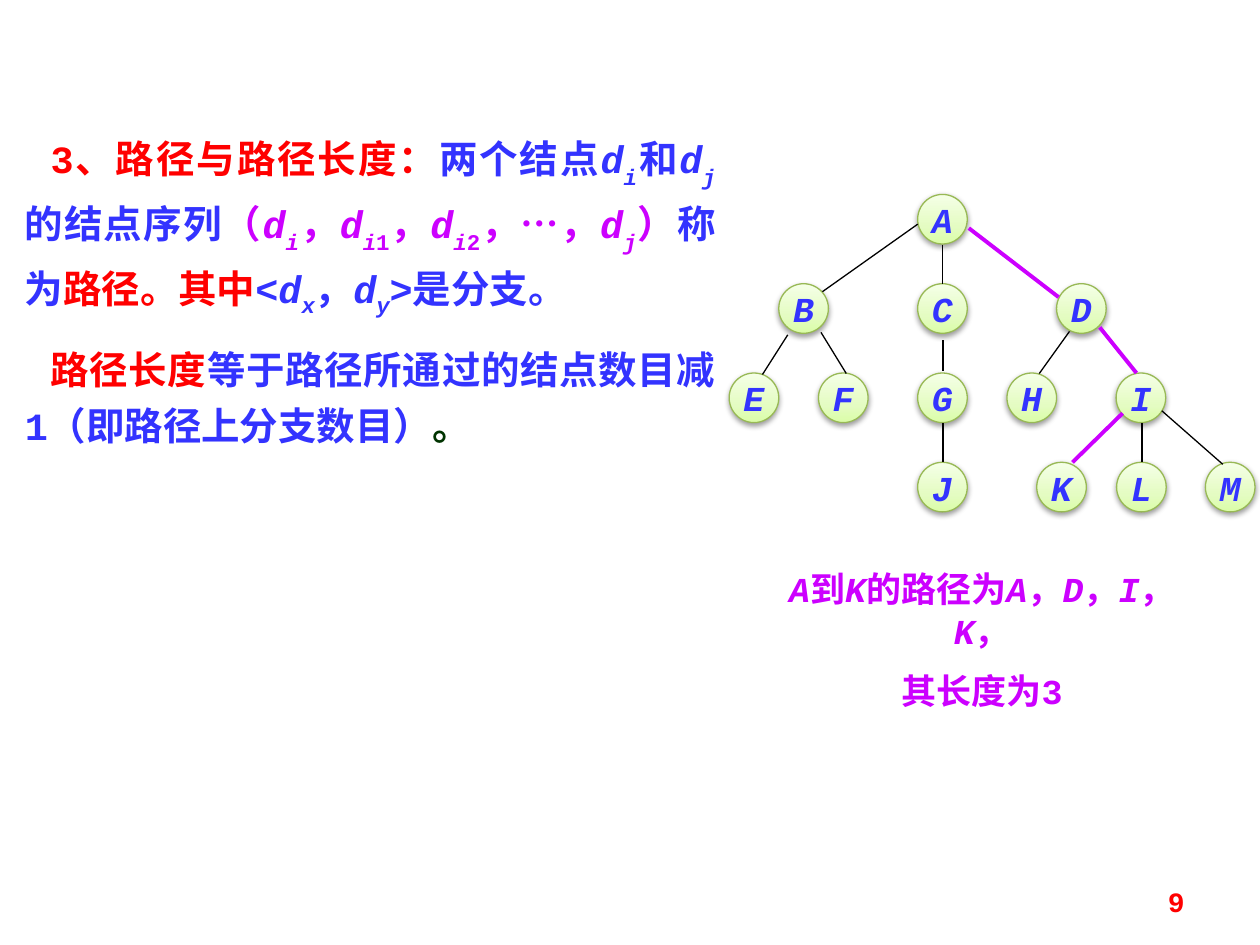
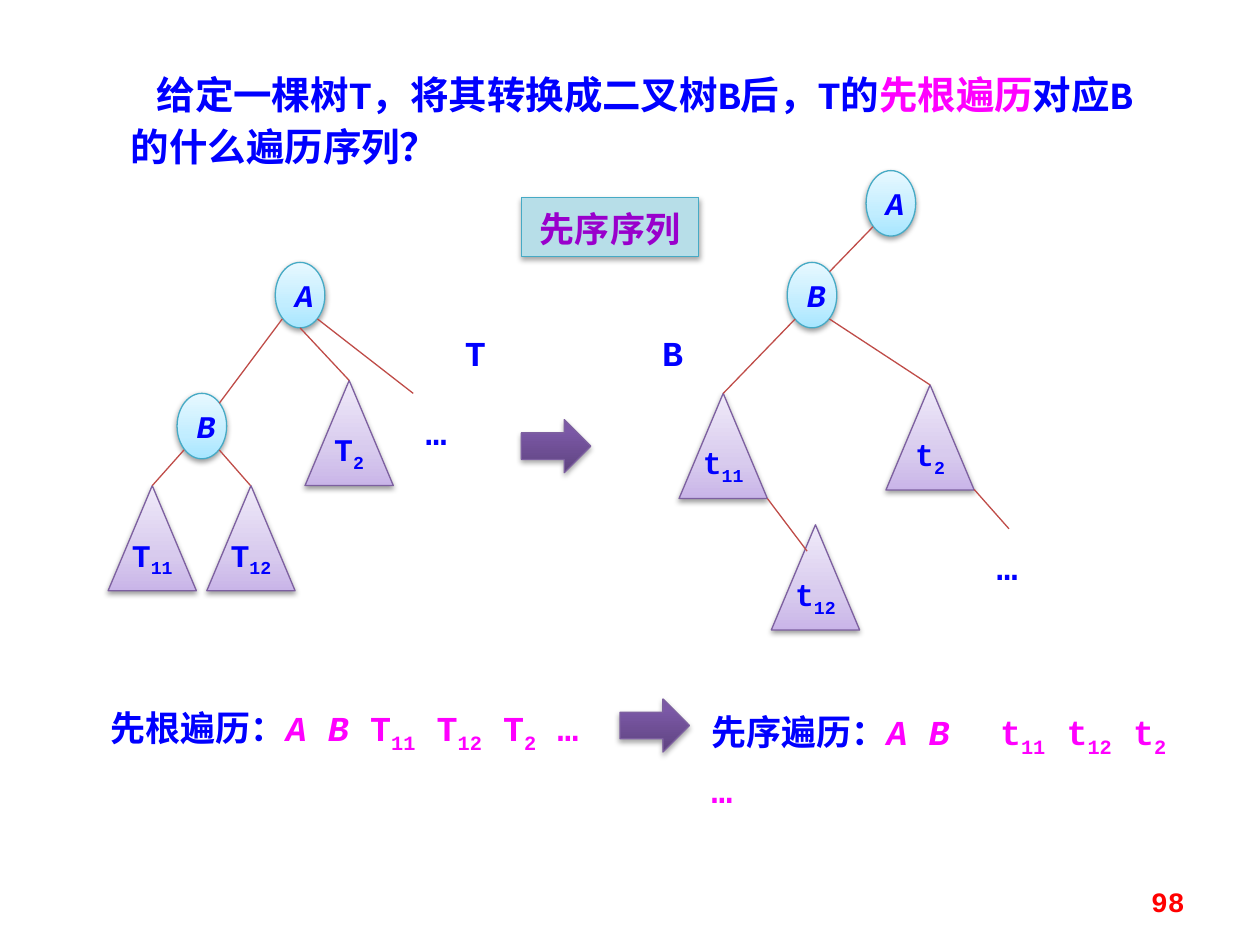
import collections
import copy

import pptx
import pptx.dml.color
import pptx.enum.shapes
import pptx.enum.text
import pptx.oxml.ns
import pptx.util
from lxml import etree

Cm = pptx.util.Cm
Pt = pptx.util.Pt
colour_of = pptx.dml.color.RGBColor.from_string
qn = pptx.oxml.ns.qn
ShapeKind = pptx.enum.shapes.MSO_SHAPE
Align = pptx.enum.text.PP_ALIGN
Anchor = pptx.enum.text.MSO_ANCHOR

FONT = "Courier New"
RED, VIOLET, SOFT_BLUE, DARK_GREEN = "FF0000", "CC00FF", "3333FF", "003300"
BLUE, PINK, PURPLE, BLACK, BROWN = "0000FF", "FF00FF", "9900CC", "000000", "BF4C48"
INDENT = 0.52

Run = collections.namedtuple("Run", "text colour italic baseline", defaults=(False, 0))
Look = collections.namedtuple("Look", "fills stops line alpha distance")
GREEN_NODE = Look(("DAFDA7", "E4FCC2", "F5FFE7"), (0, 0.35, 1), "98B955", 38, 20000)
CYAN_NODE = Look(("A7E6FF", "C1EDFF", "E7F8FF"), (0, 0.35, 1), "46AAC5", 38, 20000)
SUBTREE = Look(("C9B5E8", "D8CBEE", "F0EAF9"), (0, 0.35, 1), "7D60A0", 38, 20000)
ARROW = Look(("5F4480", "7B58A6", "7C57A8"), (0, 0.8, 1), "7D60A0", 35, 23000)
ANSWER = Look(("B7DEE8",), (0,), "46AAC5", 35, 23000)


def add_block(slide, box, paragraphs, size=20, kind=None, look=None, align=Align.LEFT,
              anchor=Anchor.TOP, spacing=None, gap=0, indent=0, wrap=True, inset=None, tab=None):
    lengths = [Cm(value) for value in box]
    if kind is None:
        shape = slide.shapes.add_textbox(*lengths)
    else:
        shape = slide.shapes.add_shape(kind, *lengths)
        properties = shape.element.spPr
        if len(look.fills) == 1:
            shape.fill.solid()
            shape.fill.fore_color.rgb = colour_of(look.fills[0])
        else:
            shape.fill.gradient()
            shape.fill.gradient_angle = 90
            stop_list = properties.find(".//" + qn("a:gsLst"))
            stop_list.append(copy.deepcopy(stop_list[-1]))
            for stop, fill, position in zip(shape.fill.gradient_stops, look.fills, look.stops):
                stop.color.rgb = colour_of(fill)
                stop.position = position
        shape.line.color.rgb = colour_of(look.line)
        shape.line.width = Pt(0.75)
        shape.shadow.inherit = False
        shadow = etree.SubElement(properties.find(qn("a:effectLst")), qn("a:outerShdw"),
                                  blurRad="40000", dist=str(look.distance), dir="5400000",
                                  rotWithShape="0")
        shade = etree.SubElement(shadow, qn("a:srgbClr"), val=BLACK)
        etree.SubElement(shade, qn("a:alpha"), val=str(look.alpha * 1000))

    frame = shape.text_frame
    frame.word_wrap = wrap
    frame.vertical_anchor = anchor
    if inset is not None:
        frame.margin_left = frame.margin_right = frame.margin_top = frame.margin_bottom = Cm(inset)
    for number, runs in enumerate(paragraphs):
        paragraph = frame.add_paragraph() if number else frame.paragraphs[0]
        paragraph.alignment = align
        if spacing:
            paragraph.line_spacing = spacing
        if number and gap:
            paragraph.space_before = Pt(gap)
        details = paragraph._p.get_or_add_pPr()
        details.set("hangingPunct", "0")
        if indent:
            details.set("indent", str(Cm(indent)))
        if tab:
            tabs = etree.SubElement(details, qn("a:tabLst"))
            etree.SubElement(tabs, qn("a:tab"), pos=str(Cm(tab)), algn="l")
        for piece in runs:
            run = paragraph.add_run()
            run.text = piece.text
            run.font.name = FONT
            run.font.size = Pt(size)
            run.font.bold = True
            run.font.italic = piece.italic
            run.font.color.rgb = colour_of(piece.colour)
            if piece.baseline:
                run._r.get_or_add_rPr().set("baseline", str(piece.baseline * 1000))


def add_line(slide, start, end, colour, width=0.75):
    line = slide.shapes.add_connector(pptx.enum.shapes.MSO_CONNECTOR.STRAIGHT,
                                      *[Cm(value) for value in start + end])
    line.line.color.rgb = colour_of(colour)
    line.line.width = Pt(width)
    etree.SubElement(line.element.spPr, qn("a:effectLst"))


presentation = pptx.Presentation()
presentation.slide_width = Cm(25.4)
presentation.slide_height = Cm(19.05)
blank = presentation.slide_layouts[6]
path_slide = presentation.slides.add_slide(blank)
traversal_slide = presentation.slides.add_slide(blank)
for slide, page in ((path_slide, "9"), (traversal_slide, "98")):
    add_block(slide, (18.21, 17.65, 5.92, 1.02), [[Run(page, RED)]], size=16,
              align=Align.RIGHT, anchor=Anchor.MIDDLE)

definition = [
    Run("3、路径与路径长度：", RED), Run("两个结点", SOFT_BLUE),
    Run("d", SOFT_BLUE, True), Run("i", SOFT_BLUE, True, -30), Run("和", SOFT_BLUE),
    Run("d", SOFT_BLUE, True), Run("j", SOFT_BLUE, True, -30), Run("的结点序列", SOFT_BLUE),
    Run("（", VIOLET), Run("d", VIOLET, True), Run("i", VIOLET, True, -30), Run("，", VIOLET),
]
for index, separator in (("1", "，"), ("2", "，…，")):
    definition += [Run("d", VIOLET, True), Run("i", VIOLET, True, -30),
                   Run(index, VIOLET, False, -30), Run(separator, VIOLET)]
definition += [
    Run("d", VIOLET, True), Run("j", VIOLET, True, -30), Run("）", VIOLET),
    Run("称为", SOFT_BLUE), Run("路径。其中", RED), Run("<", SOFT_BLUE),
    Run("d", SOFT_BLUE, True), Run("x", SOFT_BLUE, True, -25), Run("，", SOFT_BLUE),
    Run("d", SOFT_BLUE, True), Run("y", SOFT_BLUE, True, -25), Run(">是分支。", SOFT_BLUE),
]
path_length = [
    Run("路径长度", RED),
    Run("等于路径所通过的结点数目减1（即路径上分支数目）", SOFT_BLUE),
    Run("。", DARK_GREEN),
]
add_block(path_slide, (0.25, 2.38, 14.43, 6.38), [definition, path_length], size=22,
          align=Align.JUSTIFY, spacing=1.2, gap=11, indent=INDENT)

tree_levels = [
    {"A": 18.5},
    {"B": 15.7, "C": 18.5, "D": 21.3},
    {"E": 14.7, "F": 16.5, "G": 18.5, "H": 20.3, "I": 22.5},
    {"J": 18.5, "K": 20.9, "L": 22.51, "M": 24.3},
]
for level, nodes in enumerate(tree_levels):
    for name, left in nodes.items():
        add_block(path_slide, (left, 3.92 + 1.8 * level, 1, 1), [[Run(name, SOFT_BLUE, True)]],
                  kind=ShapeKind.OVAL, look=GREEN_NODE, align=Align.CENTER,
                  anchor=Anchor.MIDDLE, wrap=False)

branches = [
    ((18.5, 4.52), (16.58, 5.88)),
    ((19, 4.93), (19, 5.72)),
    ((15.88, 6.75), (15.37, 7.55)),
    ((16.55, 6.7), (17.06, 7.53)),
    ((19.01, 6.86), (19.01, 7.47)),
    ((21.56, 6.68), (20.95, 7.53)),
    ((19.01, 8.53), (19.01, 9.32)),
    ((23.02, 8.53), (23.02, 9.32)),
    ((23.42, 8.28), (24.65, 9.36)),
]
path_to_k = [
    ((19.53, 4.6), (21.34, 5.99)),
    ((22.17, 6.6), (22.91, 7.52)),
    ((22.63, 8.33), (21.62, 9.32)),
]
for start, end in branches:
    add_line(path_slide, start, end, BLACK)
for start, end in path_to_k:
    add_line(path_slide, start, end, VIOLET, 2.25)

caption = [Run("A", VIOLET, True), Run("到", VIOLET), Run("K", VIOLET, True),
           Run("的路径为", VIOLET)]
for name in "ADIK":
    caption += [Run(name, VIOLET, True), Run("，", VIOLET)]
add_block(path_slide, (15.3, 11.32, 8.99, 2.36), [caption, [Run("其长度为3", VIOLET)]],
          align=Align.CENTER, gap=10)

question = [Run("给定一棵树T，将其转换成二叉树B后，T的", BLUE), Run("先根遍历", PINK),
            Run("对应B的什么遍历序列？", BLUE)]
add_block(traversal_slide, (2.39, 1.18, 21.44, 2.39), [question], size=22,
          spacing=Pt(30), indent=INDENT)
add_block(traversal_slide, (10.51, 3.98, 3.58, 1.19), [[Run("先序序列", PURPLE)]],
          kind=ShapeKind.RECTANGLE, look=ANSWER, align=Align.CENTER, spacing=Pt(26))

for left, top, title, gap_text, letter in ((1.98, 14.02, "先根遍历：", " ", "T"),
                                           (14.09, 14.1, "先序遍历：", "\t", "t")):
    sequence = [Run(title, BLUE), Run("A B", PINK, True)]
    for lead, index in ((gap_text, "11"), (" ", "12"), (" ", "2")):
        sequence += [Run(lead + letter, PINK), Run(index, PINK, False, -25)]
    sequence.append(Run(" …", PINK))
    add_block(traversal_slide, (left, top, 10.11, 1.32), [sequence], spacing=Pt(30),
              tab=5.82 if gap_text == "\t" else None)

for left, top in ((10.51, 8.46), (12.5, 14.09)):
    add_block(traversal_slide, (left, top, 1.4, 1.07), [], kind=ShapeKind.RIGHT_ARROW, look=ARROW)

for name, left, top in (("A", 5.55, 5.29), ("B", 3.57, 7.93),
                        ("A", 17.46, 3.44), ("B", 15.87, 5.29)):
    add_block(traversal_slide, (left, top, 1, 1.32), [[Run(name, BLUE, True)]], size=18,
              kind=ShapeKind.OVAL, look=CYAN_NODE, align=Align.CENTER, anchor=Anchor.MIDDLE)

for letter, index, left, top in (("T", "11", 2.18, 9.79), ("T", "12", 4.17, 9.79),
                                 ("T", "2", 6.15, 7.67), ("t", "11", 13.69, 7.93),
                                 ("t", "12", 15.55, 10.58), ("t", "2", 17.86, 7.76)):
    add_block(traversal_slide, (left, top, 1.78, 2.12),
              [[Run(letter, BLUE), Run(index, BLUE, False, -25)]], size=18,
              kind=ShapeKind.ISOSCELES_TRIANGLE, look=SUBTREE, align=Align.CENTER,
              anchor=Anchor.MIDDLE, spacing=Pt(16), inset=0)

for text, left, top in (("…", 8.33, 7.93), ("…", 19.84, 10.67),
                        ("T", 9.12, 6.35), ("B", 13.1, 6.35)):
    add_block(traversal_slide, (left, top, 1.4, 1.32), [[Run(text, BLUE)]], spacing=Pt(30))

links = [
    ((5.69, 6.43), (4.42, 8.13)),
    ((6.05, 6.61), (7.04, 7.67)),
    ((6.4, 6.43), (8.33, 7.93)),
    ((3.71, 9.07), (3.07, 9.79)),
    ((4.42, 9.07), (5.05, 9.79)),
    ((17.6, 4.57), (16.72, 5.48)),
    ((16.03, 6.43), (14.58, 7.93)),
    ((16.72, 6.43), (18.75, 7.76)),
    ((15.47, 10.05), (16.27, 11.11)),
    ((19.64, 9.87), (20.34, 10.66)),
]
for start, end in links:
    add_line(traversal_slide, start, end, BROWN)

presentation.save("out.pptx")
